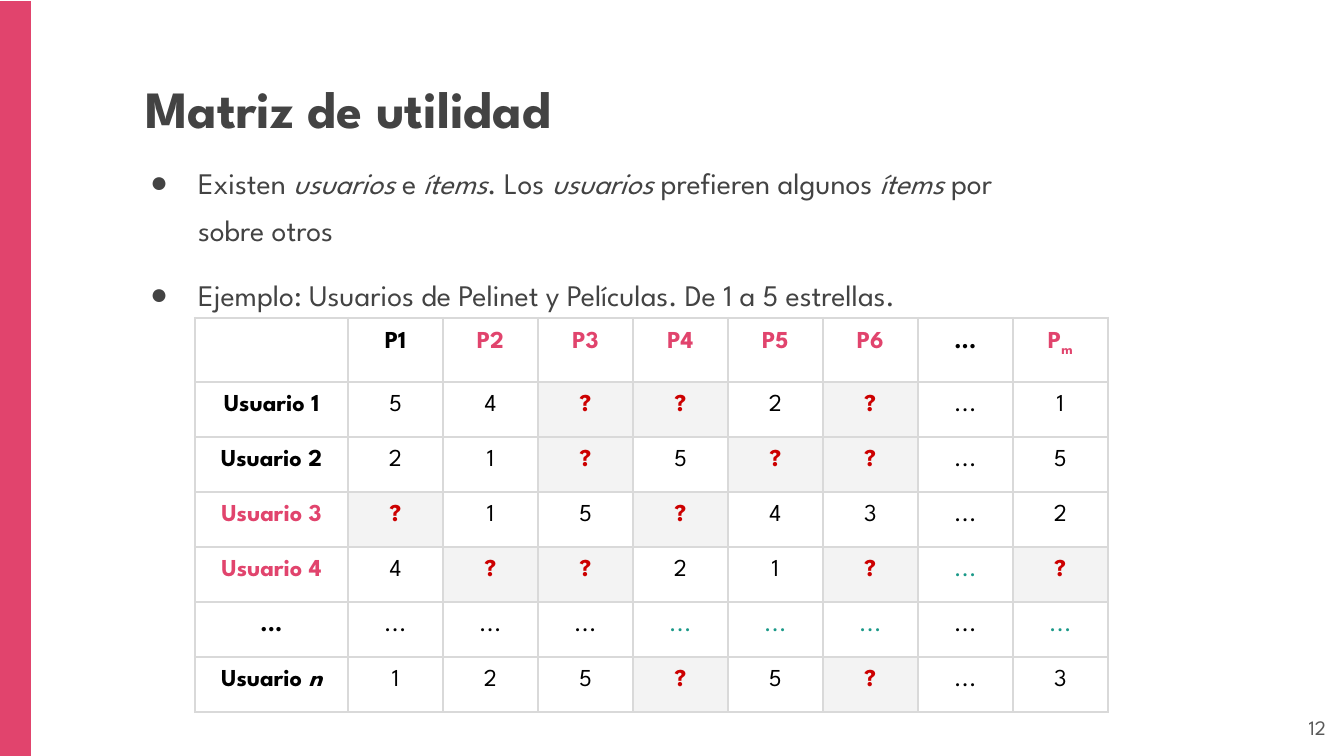
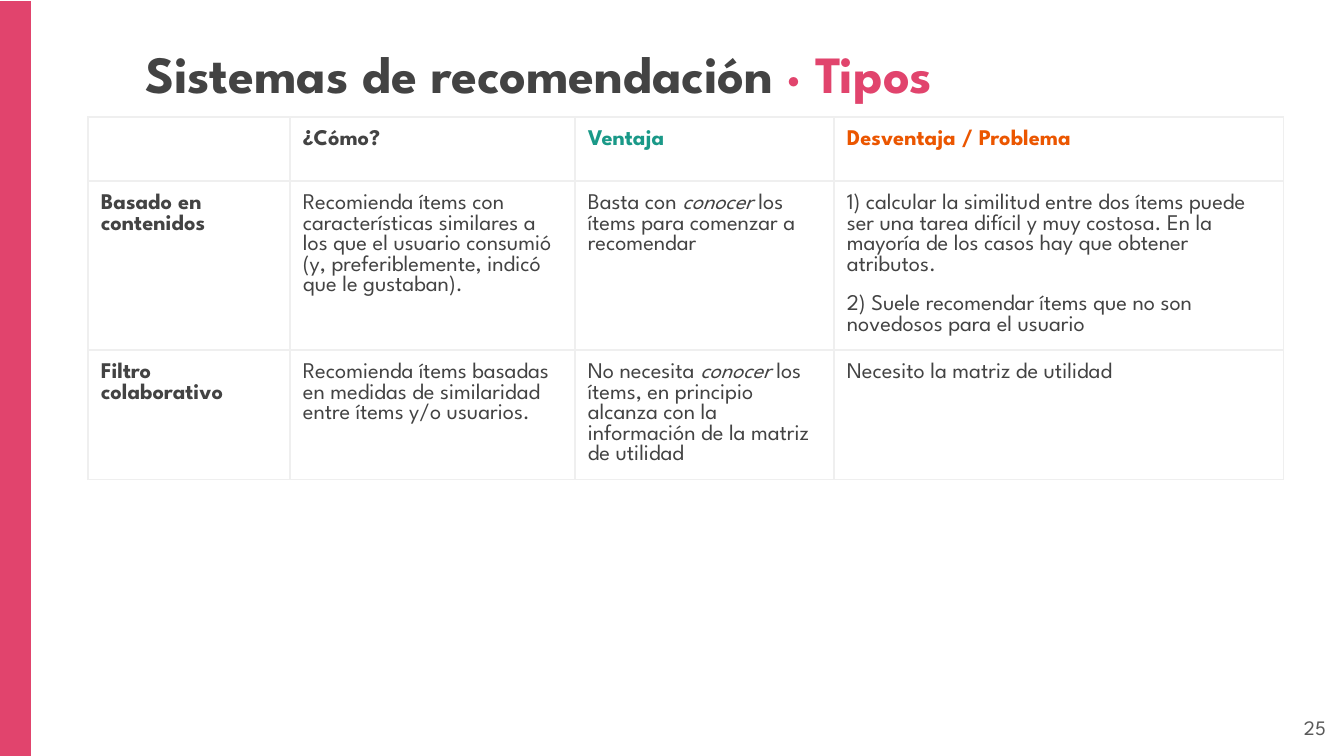
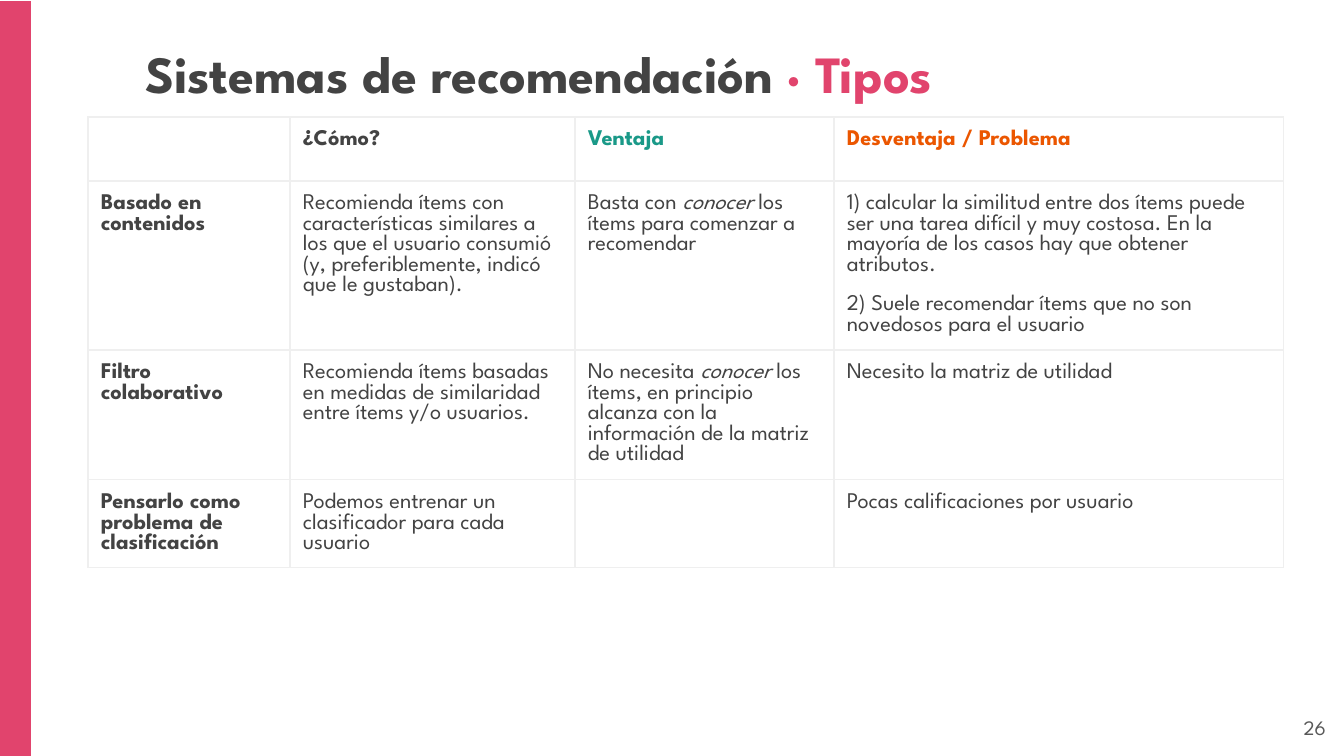
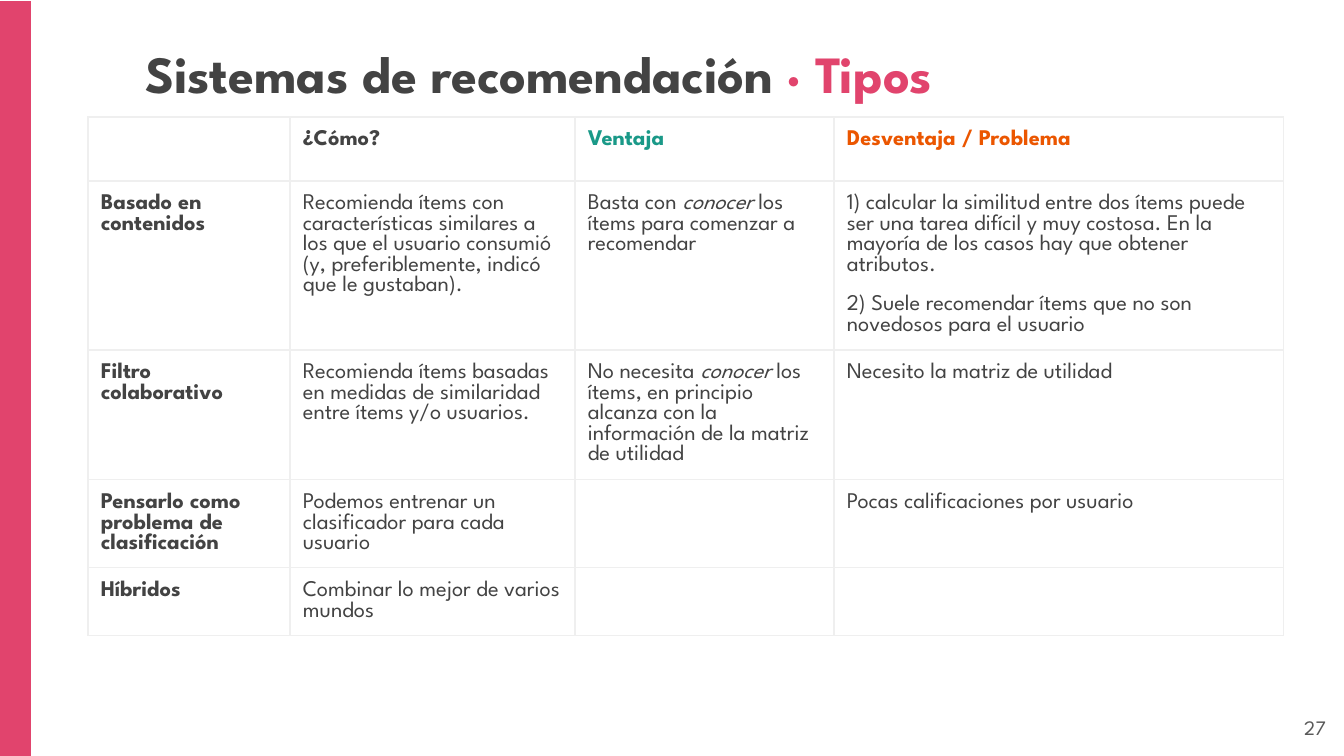
from dataclasses import dataclass, field
from typing import NamedTuple

from lxml import etree
from pptx import Presentation
from pptx import util as u
from pptx.dml.color import RGBColor
from pptx.enum import shapes, text
from pptx.oxml import ns

# Shared scale, font and colours
PX = u.Inches(1) / 134.4
FONT = "League Spartan"
PINK, GREY, TEAL, ORANGE = "E1446D", "434343", "1A9988", "EB5600"
BLACK, RED, PALE, NUMBER_GREY = "000000", "CC0000", "F3F3F3", "595959"
INSET = 13
LOOSE_LINES = 1.3
TITLE_ONLY, TITLE_AND_BODY = 5, 1


class Box(NamedTuple):
    left: int
    top: int
    width: int
    height: int


class Run(NamedTuple):
    text: str
    size: int
    color: str = GREY
    bold: bool = False
    italic: bool = False
    subscript: bool = False


Paragraphs = list[list[Run]]


@dataclass
class Cell:
    paragraphs: Paragraphs = field(default_factory=list)
    fill: str | None = None


@dataclass
class Grid:
    left: int
    top: int
    columns: list[int]
    rows: list[int]
    border: str
    border_width: float
    cells: list[list[Cell]]
    align: text.PP_ALIGN = text.PP_ALIGN.LEFT


BAND = Box(0, 1, 31, 755)
NUMBER = Box(1258, 698, 81, 58)
BODY = Box(118, 141, 902, 110)


def title_box(top: int) -> Box:
    return Box(132, top, 1078, 86)


# Helpers
def px(length: float) -> u.Emu:
    return u.Emu(round(length * PX))


def rgb(color: str) -> RGBColor:
    return RGBColor.from_string(color)


def set_all(target, values: dict) -> None:
    for name, value in values.items():
        setattr(target, name, value)


def place(shape, box: Box) -> None:
    set_all(shape, {name: px(length) for name, length in box._asdict().items()})


def marked(content: str, size: int, color: str = GREY, bold: bool = False) -> Paragraphs:
    """One paragraph per line; words between asterisks are italic."""
    return [[Run(part, size, color, bold, italic=index % 2 == 1)
             for index, part in enumerate(line.split("*")) if part]
            for line in content.split("\n")]


def add_bullet(paragraph) -> None:
    properties = paragraph._p.get_or_add_pPr()
    properties.set("marL", str(px(67)))
    properties.set("indent", str(px(-48)))
    bullet_color = etree.SubElement(properties, ns.qn("a:buClr"))
    etree.SubElement(bullet_color, ns.qn("a:srgbClr"), val=GREY)
    etree.SubElement(properties, ns.qn("a:buChar"), char="●")


def write(frame, paragraphs: Paragraphs, align=text.PP_ALIGN.LEFT,
          line_spacing: float = 1.0, bullets: bool = False) -> None:
    for index, runs in enumerate(paragraphs):
        paragraph = frame.paragraphs[0] if index == 0 else frame.add_paragraph()
        if bullets:
            add_bullet(paragraph)
        set_all(paragraph, {"alignment": align, "line_spacing": line_spacing,
                            "space_before": u.Pt(10 if index else 0)})
        for item in runs:
            run = paragraph.add_run()
            run.text = item.text
            set_all(run.font, {"name": FONT, "size": u.Pt(item.size),
                               "bold": item.bold, "italic": item.italic})
            run.font.color.rgb = rgb(item.color)
            if item.subscript:
                run._r.get_or_add_rPr().set("baseline", "-25000")


def fill_text_box(shape, box: Box, paragraphs: Paragraphs,
                  anchor=text.MSO_ANCHOR.TOP, **layout) -> None:
    place(shape, box)
    margins = {f"margin_{side}": px(INSET) for side in ("left", "right", "top", "bottom")}
    set_all(shape.text_frame, margins | {"word_wrap": True, "vertical_anchor": anchor,
                                         "auto_size": text.MSO_AUTO_SIZE.NONE})
    write(shape.text_frame, paragraphs, **layout)


# Table drawing
def draw_borders(cell, color: str, width: float) -> None:
    properties = cell._tc.get_or_add_tcPr()
    for position, side in enumerate(("lnL", "lnR", "lnT", "lnB")):
        line = etree.Element(ns.qn(f"a:{side}"), w=str(u.Pt(width)))
        solid = etree.SubElement(line, ns.qn("a:solidFill"))
        etree.SubElement(solid, ns.qn("a:srgbClr"), val=color)
        properties.insert(position, line)


def draw_cell(target, cell: Cell, grid: Grid) -> None:
    set_all(target, {f"margin_{side}": px(INSET)
                     for side in ("left", "right", "top", "bottom")})
    if cell.fill:
        target.fill.solid()
        target.fill.fore_color.rgb = rgb(cell.fill)
    else:
        target.fill.background()
    draw_borders(target, grid.border, grid.border_width)
    if cell.paragraphs:
        write(target.text_frame, cell.paragraphs, grid.align)
    else:
        # An empty cell keeps a small text height so the row does not grow
        etree.SubElement(target.text_frame.paragraphs[0]._p,
                         ns.qn("a:endParaRPr"), sz="1200")


def draw_table(slide, grid: Grid) -> None:
    box = Box(grid.left, grid.top, sum(grid.columns), sum(grid.rows))
    table = slide.shapes.add_table(len(grid.rows), len(grid.columns),
                                   *(px(length) for length in box)).table
    set_all(table, {"first_row": False, "horz_banding": False})
    for column, width in zip(table.columns, grid.columns):
        column.width = px(width)
    for row, height, cells in zip(table.rows, grid.rows, grid.cells):
        row.height = px(height)
        for target, cell in zip(row.cells, cells):
            draw_cell(target, cell, grid)


# Slide frame: band, title and number
def add_slide(presentation, layout: int, number: int, title: list[Run], title_top: int):
    slide = presentation.slides.add_slide(presentation.slide_layouts[layout])
    band = slide.shapes.add_shape(shapes.MSO_SHAPE.RECTANGLE,
                                  *(px(length) for length in BAND))
    band.shadow.inherit = False
    band.fill.solid()
    band.fill.fore_color.rgb = rgb(PINK)
    band.line.fill.background()
    fill_text_box(slide.shapes.title, title_box(title_top), [title],
                  line_spacing=LOOSE_LINES)
    number_box = slide.shapes.add_textbox(*(px(length) for length in NUMBER))
    fill_text_box(number_box, NUMBER, [[Run(str(number), 11, NUMBER_GREY)]],
                  anchor=text.MSO_ANCHOR.MIDDLE, align=text.PP_ALIGN.RIGHT)
    return slide


# Utility matrix
INTRODUCTION = ("Existen *usuarios* e *ítems*. Los *usuarios* prefieren algunos *ítems* por sobre otros\n"
                "Ejemplo: Usuarios de Pelinet y Películas. De 1 a 5 estrellas.")
FILMS = ["P1", "P2", "P3", "P4", "P5", "P6", "..."]
RATINGS = {
    "Usuario 1": "5 4 ? ? 2 ? ... 1",
    "Usuario 2": "2 1 ? 5 ? ? ... 5",
    "Usuario 3": "? 1 5 ? 4 3 ... 2",
    "Usuario 4": "4 ? ? 2 1 ? ... ?",
    "...": "... ... ... ... ... ... ... ...",
    "Usuario *n*": "1 2 5 ? 5 ? ... 3",
}
PLAIN_HEADINGS = {"P1", "Usuario 1", "Usuario 2", "...", "Usuario *n*"}
TEAL_DOTS = {("Usuario 4", 6), ("...", 3), ("...", 4), ("...", 5), ("...", 7)}
MATRIX_SIZE = 13


def matrix_heading(label: str) -> Cell:
    color = BLACK if label in PLAIN_HEADINGS else PINK
    return Cell(marked(label, MATRIX_SIZE, color, bold=True))


def rating_cell(user: str, film: int, rating: str) -> Cell:
    if rating == "?":
        return Cell(marked(rating, MATRIX_SIZE, RED, bold=True), PALE)
    color = TEAL if (user, film) in TEAL_DOTS else BLACK
    return Cell(marked(rating, MATRIX_SIZE, color))


def utility_matrix() -> Grid:
    last_film = Cell([[Run("P", MATRIX_SIZE, PINK, True),
                       Run("m", MATRIX_SIZE, PINK, True, subscript=True)]])
    cells = [[Cell(), *map(matrix_heading, FILMS), last_film]]
    for user, ratings in RATINGS.items():
        cells.append([matrix_heading(user)] + [rating_cell(user, film, rating)
                     for film, rating in enumerate(ratings.split())])
    return Grid(195, 318, [153] + [95] * 8, [64] + [55] * len(RATINGS),
                "D9D9D9", 1.5, cells, text.PP_ALIGN.CENTER)


# Kinds of recommender
class Kind(NamedTuple):
    height: int
    name: str
    method: str
    advantage: str = ""
    problem: str = ""


KINDS = [
    Kind(169, "Basado en contenidos",
         "Recomienda ítems con características similares a los que el usuario consumió "
         "(y, preferiblemente, indicó que le gustaban).",
         "Basta con *conocer* los ítems para comenzar a recomendar",
         "1) calcular la similitud entre dos ítems puede ser una tarea difícil y muy costosa. "
         "En la mayoría de los casos hay que obtener atributos.\n"
         "2) Suele recomendar ítems que no son novedosos para el usuario"),
    Kind(130, "Filtro colaborativo",
         "Recomienda ítems basadas en medidas de similaridad entre ítems y/o usuarios.",
         "No necesita *conocer* los ítems, en principio alcanza con la información "
         "de la matriz de utilidad",
         "Necesito la matriz de utilidad"),
    Kind(88, "Pensarlo como problema de clasificación",
         "Podemos entrenar un clasificador para cada usuario",
         problem="Pocas calificaciones por usuario"),
    Kind(68, "Híbridos", "Combinar lo mejor de varios mundos"),
]
KIND_HEADINGS = [("", GREY), ("¿Cómo?", GREY), ("Ventaja", TEAL),
                 ("Desventaja / Problema", ORANGE)]
KIND_SIZE = 12


def kind_cell(content: str, color: str = GREY, bold: bool = False) -> Cell:
    return Cell(marked(content, KIND_SIZE, color, bold)) if content else Cell()


def kinds_table(kinds: list[Kind]) -> Grid:
    cells = [[kind_cell(label, color, True) for label, color in KIND_HEADINGS]]
    for kind in kinds:
        details = (kind.method, kind.advantage, kind.problem)
        cells.append([kind_cell(kind.name, bold=True), *map(kind_cell, details)])
    return Grid(88, 117, [202, 285, 259, 450], [64] + [kind.height for kind in kinds],
                "EFEFEF", 0.75, cells)


def main() -> None:
    presentation = Presentation()
    set_all(presentation, {"slide_width": px(1344), "slide_height": px(756)})

    slide = add_slide(presentation, TITLE_AND_BODY, 12,
                      [Run("Matriz de utilidad", 28, bold=True)], 44)
    fill_text_box(slide.placeholders[1], BODY, marked(INTRODUCTION, 16),
                  line_spacing=LOOSE_LINES, bullets=True)
    draw_table(slide, utility_matrix())

    # Each further slide reveals one more kind
    kinds_title = [Run("Sistemas de recomendación ", 28, bold=True),
                   Run("· Tipos", 28, PINK, True)]
    for number, shown in ((25, 2), (26, 3), (27, 4)):
        slide = add_slide(presentation, TITLE_ONLY, number, kinds_title, 9)
        draw_table(slide, kinds_table(KINDS[:shown]))

    presentation.save("out.pptx")


if __name__ == "__main__":
    main()
